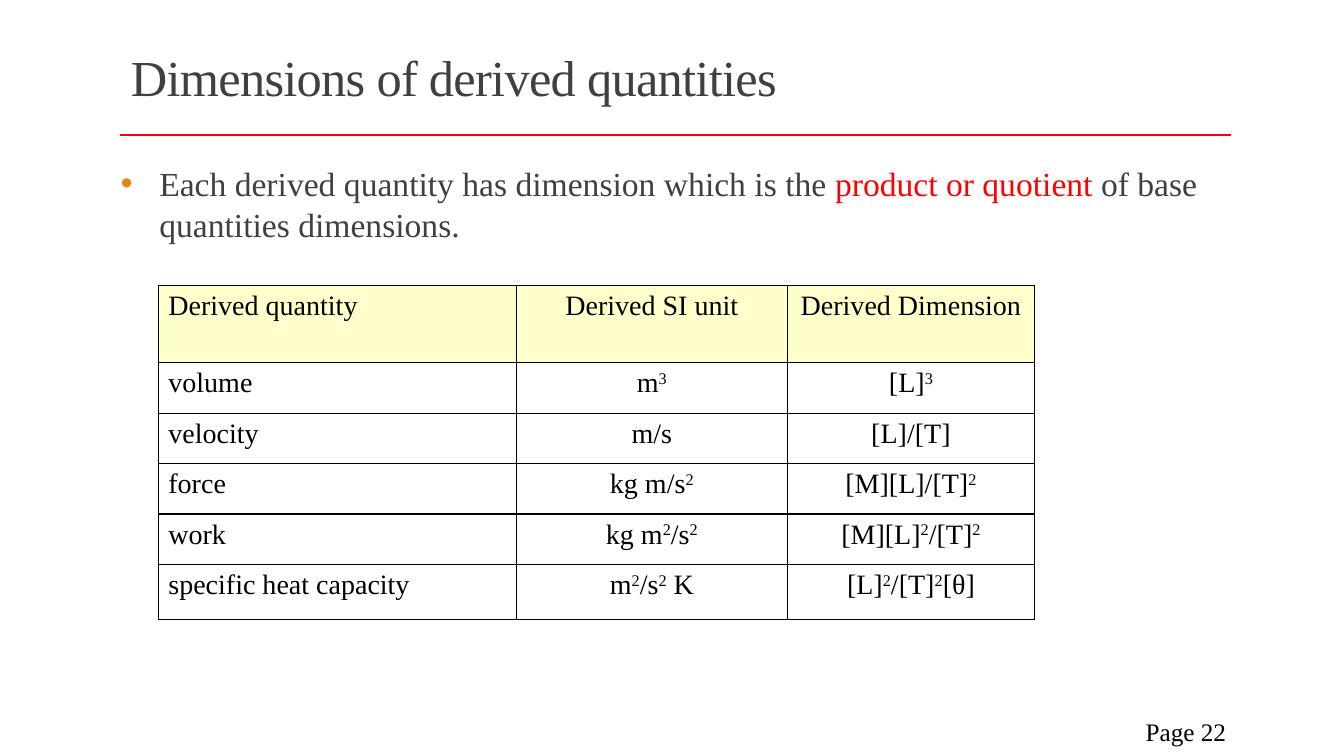
from dataclasses import dataclass

from lxml import etree
from pptx import Presentation
from pptx.dml.color import RGBColor
from pptx.enum.shapes import MSO_CONNECTOR
from pptx.enum.text import MSO_ANCHOR, PP_ALIGN
from pptx.oxml.ns import qn
from pptx.slide import Slide
from pptx.table import _Cell
from pptx.text.text import TextFrame, _Paragraph
from pptx.util import Inches, Pt

STRAIGHT = MSO_CONNECTOR.STRAIGHT
LEFT, CENTER, RIGHT = PP_ALIGN.LEFT, PP_ALIGN.CENTER, PP_ALIGN.RIGHT
TOP, MIDDLE = MSO_ANCHOR.TOP, MSO_ANCHOR.MIDDLE


@dataclass(frozen=True)
class Theme:
    font: str = "Times New Roman"
    ink: str = "404040"
    black: str = "000000"
    accent: str = "FF0000"
    bullet: str = "E48312"
    header_fill: str = "FFFFCC"
    body_fill: str = "FFFFFF"
    title_size: int = 36
    statement_size: int = 24
    table_size: int = 20
    page_size: int = 18


@dataclass(frozen=True)
class Box:
    left: float
    top: float
    width: float
    height: float

    def lengths(self) -> list[Inches]:
        return [Inches(v) for v in (self.left, self.top, self.width, self.height)]


@dataclass(frozen=True)
class Quantity:
    """One table row; ^ raises the character after it."""
    name: str
    unit: str
    dimension: str


THEME = Theme()
HEADER = Quantity("Derived quantity", "Derived SI unit", "Derived Dimension")
QUANTITIES = [
    Quantity("volume", "m^3", "[L]^3"),
    Quantity("velocity", "m/s", "[L]/[T]"),
    Quantity("force", "kg m/s^2", "[M][L]/[T]^2"),
    Quantity("work", "kg m^2/s^2", "[M][L]^2/[T]^2"),
    Quantity("specific heat capacity", "m^2/s^2 K", "[L]^2/[T]^2[θ]"),
]
COLUMN_WIDTHS = [3.55, 2.69, 2.45]
ROW_HEIGHTS = [0.77, 0.5, 0.5, 0.5, 0.5, 0.55]


def add_run(paragraph: _Paragraph, text: str, size: int, color: str,
            **attributes: str) -> None:
    run = paragraph.add_run()
    run.text = text
    run.font.name = THEME.font
    run.font.size = Pt(size)
    run.font.color.rgb = RGBColor.from_string(color)
    for key, value in attributes.items():
        run.font._element.set(key, value)


def add_text_box(slide: Slide, box: Box, anchor: MSO_ANCHOR) -> TextFrame:
    frame = slide.shapes.add_textbox(*box.lengths()).text_frame
    frame.word_wrap = True
    frame.vertical_anchor = anchor
    return frame


def set_bullet(paragraph: _Paragraph, indent: float) -> None:
    properties = paragraph._p.get_or_add_pPr()
    properties.set("marL", str(Inches(indent)))
    properties.set("indent", str(-Inches(indent)))
    color = etree.SubElement(properties, qn("a:buClr"))
    etree.SubElement(color, qn("a:srgbClr"), val=THEME.bullet)
    etree.SubElement(properties, qn("a:buFont"), typeface="Arial")
    etree.SubElement(properties, qn("a:buChar"), char="•")


def set_borders(cell: _Cell) -> None:
    properties = cell._tc.get_or_add_tcPr()
    for side in ("a:lnL", "a:lnR", "a:lnT", "a:lnB"):
        line = etree.SubElement(properties, qn(side), w=str(Pt(1)))
        fill = etree.SubElement(line, qn("a:solidFill"))
        etree.SubElement(fill, qn("a:srgbClr"), val=THEME.black)


def fill_cell(cell: _Cell, text: str, fill: str, align: PP_ALIGN) -> None:
    set_borders(cell)
    cell.fill.solid()
    cell.fill.fore_color.rgb = RGBColor.from_string(fill)
    paragraph = cell.text_frame.paragraphs[0]
    paragraph.alignment = align
    base, *raised = text.split("^")
    add_run(paragraph, base, THEME.table_size, THEME.black)
    for part in raised:
        add_run(paragraph, part[0], THEME.table_size, THEME.black, baseline="30000")
        if part[1:]:
            add_run(paragraph, part[1:], THEME.table_size, THEME.black)


def add_quantity_table(slide: Slide, left: float, top: float) -> None:
    rows = [HEADER, *QUANTITIES]
    box = Box(left, top, sum(COLUMN_WIDTHS), sum(ROW_HEIGHTS))
    table = slide.shapes.add_table(len(rows), len(COLUMN_WIDTHS), *box.lengths()).table
    table.horz_banding = False
    table.first_row = False
    for column, width in zip(table.columns, COLUMN_WIDTHS):
        column.width = Inches(width)
    for row, height, quantity in zip(table.rows, ROW_HEIGHTS, rows):
        row.height = Inches(height)
        fill = THEME.header_fill if quantity is HEADER else THEME.body_fill
        texts = (quantity.name, quantity.unit, quantity.dimension)
        for cell, text, align in zip(row.cells, texts, (LEFT, CENTER, CENTER)):
            fill_cell(cell, text, fill, align)


presentation = Presentation()
presentation.slide_width = Inches(13.33)
presentation.slide_height = Inches(7.5)
slide = presentation.slides.add_slide(presentation.slide_layouts[6])

# Title and the rule under it
title = add_text_box(slide, Box(1.2, 0.31, 11, 0.98), MIDDLE).paragraphs[0]
title.line_spacing = 0.85
add_run(title, "Dimensions of derived quantities", THEME.title_size, THEME.ink, spc="-50")

rule = slide.shapes.add_connector(
    STRAIGHT, Inches(1.19), Inches(1.34), Inches(12.21), Inches(1.34))
rule.line.color.rgb = RGBColor.from_string(THEME.accent)
rule.line.width = Pt(2)
etree.SubElement(rule._element.spPr, qn("a:effectLst"))

# Bulleted statement
statement_frame = add_text_box(slide, Box(1.2, 1.57, 11.02, 1), TOP)
statement_frame.margin_left = statement_frame.margin_right = 0
statement = statement_frame.paragraphs[0]
statement.space_before = Pt(18)
statement.space_after = Pt(6)
set_bullet(statement, 0.38)
for text, color in (
    ("Each derived quantity has dimension which is the ", THEME.ink),
    ("product or quotient ", THEME.accent),
    ("of base quantities dimensions.", THEME.ink),
):
    add_run(statement, text, THEME.statement_size, color)

# Table of quantities
add_quantity_table(slide, 1.57, 2.83)

# Page number
page = add_text_box(slide, Box(10.83, 7.06, 1.43, 0.4), MIDDLE).paragraphs[0]
page.alignment = RIGHT
add_run(page, "Page 22", THEME.page_size, THEME.black)

presentation.save("out.pptx")
